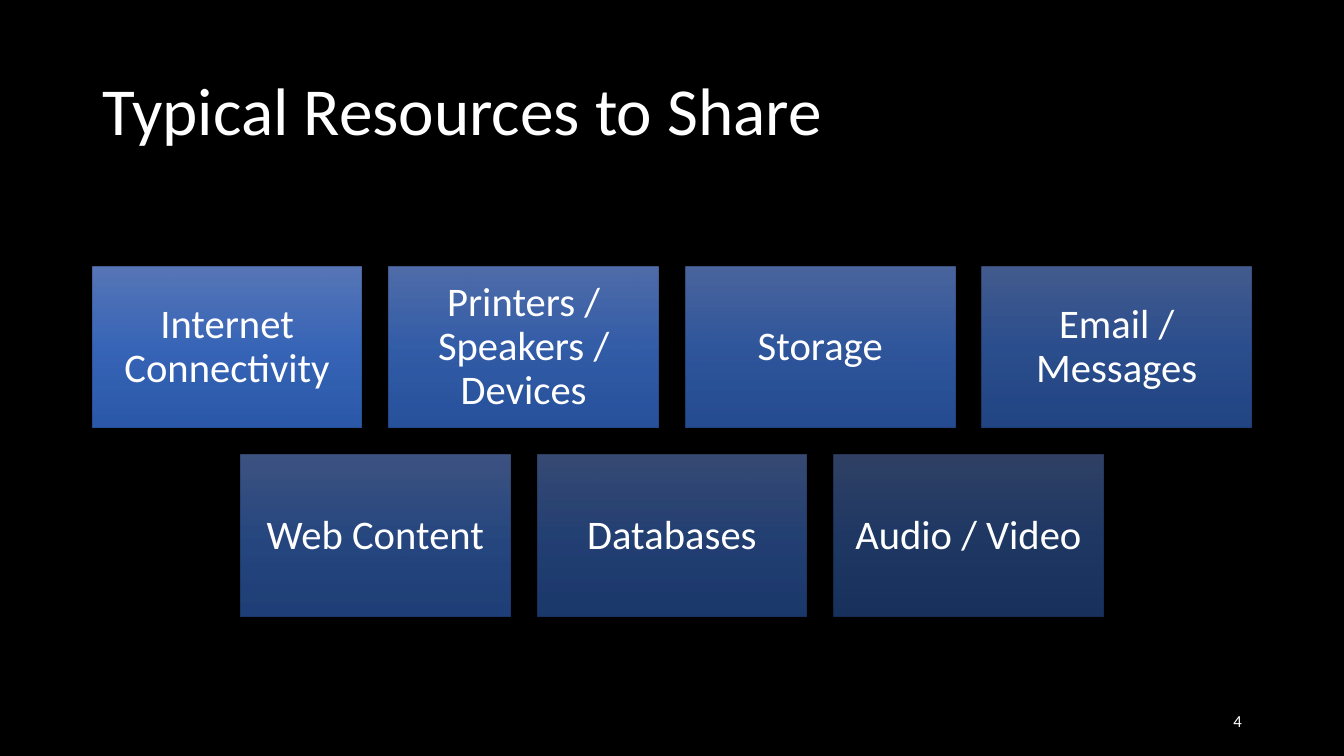
from lxml.etree import SubElement
from pptx import Presentation
from pptx.dml.color import RGBColor as RGB
from pptx.enum.shapes import MSO_SHAPE as Shape
from pptx.enum.text import MSO_ANCHOR as Anchor, PP_ALIGN as Align
from pptx.oxml.ns import qn
from pptx.util import Cm, Pt

# Content
HEADING = "Typical Resources to Share"
PAGE_NUMBER = "4"
RESOURCE_ROWS = [
    ["Internet Connectivity", "Printers / Speakers / Devices", "Storage", "Email / Messages"],
    ["Web Content", "Databases", "Audio / Video"],
]

THEME = {
    "background": RGB.from_string("000000"),
    "text": RGB.from_string("FFFFFF"),
    "font": "Calibri",
    "title": Pt(48),
    "card": Pt(29),
    "number": Pt(12),
    "gradient": [(0, "6183CB"), (50, "3E70CA"), (100, "3062BB")],
    "opacity": (90, 50),  # first and last card, percent
}

# Layout in centimetres
SLIDE_W, SLIDE_H = 33.87, 19.05
LEFT, CONTENT_W = 2.33, 29.21
CARDS_TOP = 6.71
CARD_W = CONTENT_W / 4.3  # four cards and three gaps of a tenth of a card
CARD_H, GAP = CARD_W * 0.6, CARD_W * 0.1


def place(part, left, top, width, height):
    box = {"left": left, "top": top, "width": width, "height": height}
    for side, length in box.items():
        setattr(part, side, Cm(length))


def write(part, words, size, align, spacing=1.0, inset=None):
    frame = part.text_frame
    frame.text = words
    frame_format = {"word_wrap": True, "vertical_anchor": Anchor.MIDDLE}
    if inset is not None:
        frame_format |= {f"margin_{side}": inset for side in ("left", "top", "right", "bottom")}
    paragraph = frame.paragraphs[0]
    formats = [
        (frame, frame_format),
        (paragraph, {"alignment": align, "line_spacing": spacing}),
        (paragraph.runs[0].font, {"size": THEME[size], "name": THEME["font"]}),
    ]
    for target, values in formats:
        for name, value in values.items():
            setattr(target, name, value)
    paragraph.runs[0].font.color.rgb = THEME["text"]


def shade(card, opacity):
    """Fill a card from top to bottom with the translucent theme gradient."""
    card.fill.gradient()
    card.fill.gradient_angle = 270
    stops = card.element.spPr.find(".//" + qn("a:gsLst"))
    for stop in list(stops):
        stops.remove(stop)
    for position, colour in THEME["gradient"]:
        stop = SubElement(stops, qn("a:gs"), pos=str(position * 1000))
        tint = SubElement(stop, qn("a:srgbClr"), val=colour)
        SubElement(tint, qn("a:alpha"), val=str(round(opacity * 1000)))


def main():
    deck = Presentation()
    deck.slide_width, deck.slide_height = Cm(SLIDE_W), Cm(SLIDE_H)
    slide = deck.slides.add_slide(deck.slide_layouts[5])
    slide.background.fill.solid()
    slide.background.fill.fore_color.rgb = THEME["background"]

    # Title
    title = slide.shapes.title
    place(title, LEFT, 1.02, CONTENT_W, 3.68)
    write(title, HEADING, "title", Align.LEFT, 0.9)

    # Resource cards: centred rows, fading from first to last
    first, last = THEME["opacity"]
    fade = (first - last) / (sum(map(len, RESOURCE_ROWS)) - 1)
    opacity = first
    for row, resources in enumerate(RESOURCE_ROWS):
        row_w = len(resources) * (CARD_W + GAP) - GAP
        row_left = LEFT + (CONTENT_W - row_w) / 2
        top = CARDS_TOP + row * (CARD_H + GAP)
        for column, resource in enumerate(resources):
            left = row_left + column * (CARD_W + GAP)
            card = slide.shapes.add_shape(
                Shape.RECTANGLE, Cm(left), Cm(top), Cm(CARD_W), Cm(CARD_H))
            card.shadow.inherit = False
            card.line.fill.background()
            shade(card, opacity)
            write(card, resource, "card", Align.CENTER, 0.9, Cm(0.3))
            opacity -= fade

    # Page number
    number = slide.shapes.add_textbox(Cm(23.93), Cm(17.65), Cm(7.62), Cm(1.02))
    write(number, PAGE_NUMBER, "number", Align.RIGHT)

    deck.save("out.pptx")


if __name__ == "__main__":
    main()
